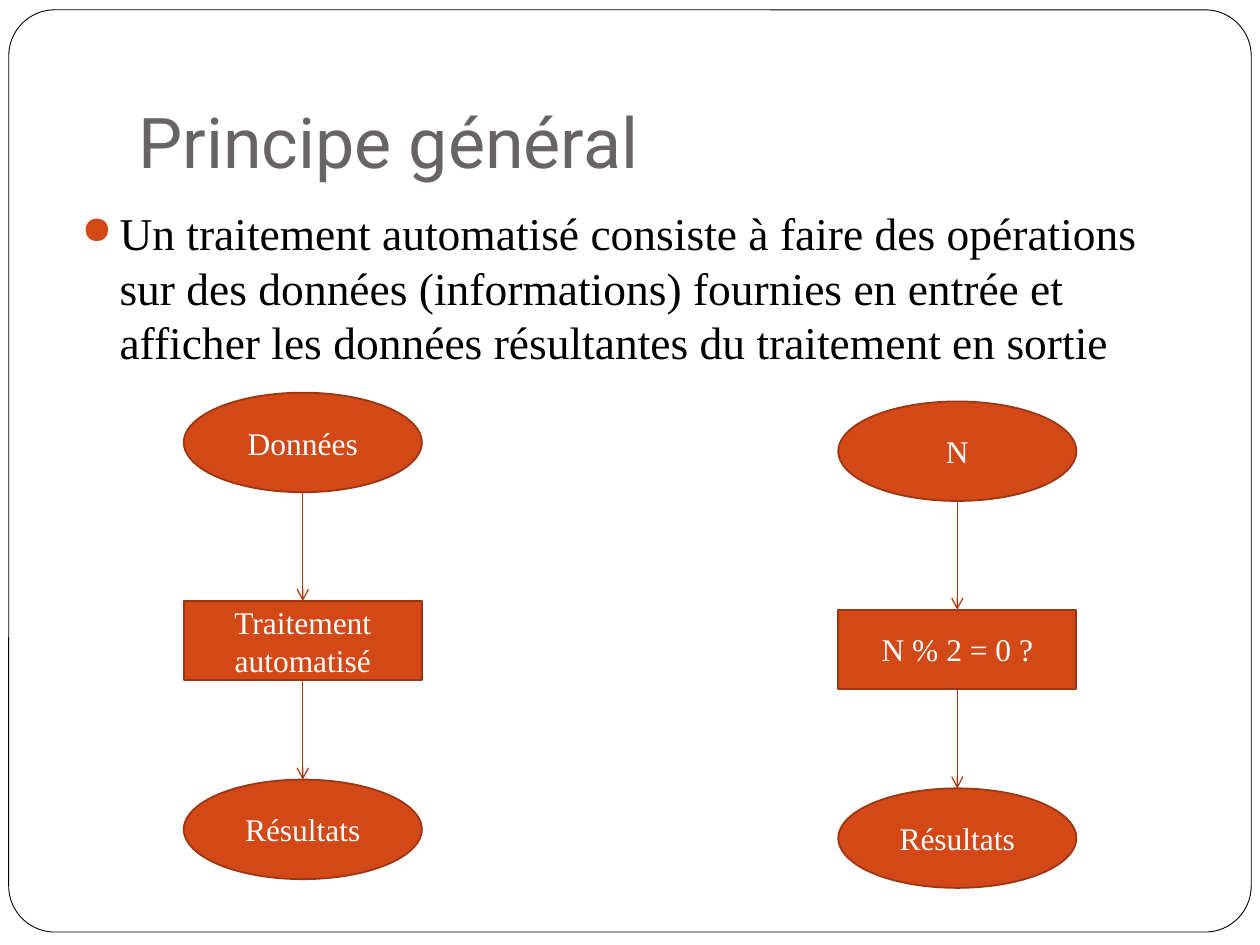
from dataclasses import dataclass

from lxml.etree import SubElement
from pptx import Presentation
from pptx.dml.color import RGBColor
from pptx.enum.shapes import MSO_CONNECTOR, MSO_SHAPE
from pptx.enum.text import MSO_ANCHOR, PP_ALIGN
from pptx.oxml.ns import qn
from pptx.util import Pt

# Content
TITLE = "Principe général"
BODY = (
    "Un traitement automatisé consiste à faire des opérations sur des données "
    "(informations) fournies en entrée et afficher les données résultantes "
    "du traitement en sortie"
)
# Each flow: left, top, then input, process and output labels
FLOWS = [
    (105, 224.4, ("Données", "Traitement automatisé", "Résultats")),
    (479, 229.4, ("N", "N % 2 = 0 ?", "Résultats")),
]
# Each step: shape, offset from the top of the flow, height
STEPS = [
    (MSO_SHAPE.OVAL, 0, 56.9),
    (MSO_SHAPE.RECTANGLE, 119, 45.4),
    (MSO_SHAPE.OVAL, 221.1, 56.9),
]
STEP_WIDTH = 136.1


@dataclass(frozen=True)
class Theme:
    accent: str = "D34817"
    outline: str = "9C3511"
    arrow: str = "B1360B"
    title: str = "696464"
    text: str = "000000"
    light: str = "FFFFFF"
    title_font: str = "Roboto"
    body_font: str = "Times New Roman"
    title_size: int = 40
    body_size: int = 26
    step_size: int = 18


THEME = Theme()


def color(value):
    return RGBColor.from_string(value)


def add_run(paragraph, text, font, size, value):
    run = paragraph.add_run()
    run.text = text
    run.font.name = font
    run.font.size = Pt(size)
    run.font.color.rgb = color(value)


def add_box(slide, kind, bounds, fill, line, width):
    shape = slide.shapes.add_shape(kind, *map(Pt, bounds))
    shape.shadow.inherit = False
    shape.fill.solid()
    shape.fill.fore_color.rgb = color(fill)
    shape.line.color.rgb = color(line)
    shape.line.width = Pt(width)
    return shape


def add_text_box(slide, bounds):
    frame = slide.shapes.add_textbox(*map(Pt, bounds)).text_frame
    frame.word_wrap = True
    return frame


def add_bullet(paragraph):
    properties = paragraph._p.get_or_add_pPr()
    properties.set("marL", str(Pt(21.6)))
    properties.set("indent", str(-Pt(21.6)))
    bullet_color = SubElement(properties, qn("a:buClr"))
    SubElement(bullet_color, qn("a:srgbClr"), val=THEME.accent)
    SubElement(properties, qn("a:buSzPct"), val="85000")
    SubElement(properties, qn("a:buChar"), char="●")


def add_step(slide, kind, bounds, label):
    shape = add_box(slide, kind, bounds, THEME.accent, THEME.outline, 1)
    frame = shape.text_frame
    frame.word_wrap = True
    frame.vertical_anchor = MSO_ANCHOR.MIDDLE
    paragraph = frame.paragraphs[0]
    paragraph.alignment = PP_ALIGN.CENTER
    add_run(paragraph, label, THEME.body_font, THEME.step_size, THEME.light)
    return shape


def add_arrow(slide, start, end):
    center = start.left + start.width // 2
    connector = slide.shapes.add_connector(
        MSO_CONNECTOR.STRAIGHT, center, start.top + start.height, center, end.top
    )
    # Site 2 is the bottom of a rectangle; an oval numbers its sites differently
    if start.auto_shape_type == MSO_SHAPE.RECTANGLE:
        connector.begin_connect(start, 2)
    connector.end_connect(end, 0)
    connector.line.color.rgb = color(THEME.arrow)
    connector.line.width = Pt(0.75)
    SubElement(connector.line._get_or_add_ln(), qn("a:tailEnd"), type="arrow")
    SubElement(connector._element.spPr, qn("a:effectLst"))


def add_flow(slide, left, top, labels):
    steps = [
        add_step(slide, kind, (left, top + offset, STEP_WIDTH, height), label)
        for (kind, offset, height), label in zip(STEPS, labels)
    ]
    for start, end in zip(steps, steps[1:]):
        add_arrow(slide, start, end)


def main():
    presentation = Presentation()
    presentation.slide_width, presentation.slide_height = Pt(720), Pt(540)
    slide = presentation.slides.add_slide(presentation.slide_layouts[6])

    # Rounded page frame
    frame = add_box(slide, MSO_SHAPE.ROUNDED_RECTANGLE, (5, 5.6, 710, 527),
                    THEME.light, THEME.text, 0.5)
    frame.adjustments[0] = 0.05

    # Title
    title = add_text_box(slide, (72, 21.6, 612, 90))
    title.vertical_anchor = MSO_ANCHOR.BOTTOM
    title.margin_bottom = Pt(7.2)
    add_run(title.paragraphs[0], TITLE, THEME.title_font, THEME.title_size, THEME.title)

    # Definition
    body = add_text_box(slide, (39.6, 113.8, 644.4, 409)).paragraphs[0]
    body.space_before = Pt(5.8)
    add_bullet(body)
    add_run(body, BODY, THEME.body_font, THEME.body_size, THEME.text)

    # General flow and its example
    for left, top, labels in FLOWS:
        add_flow(slide, left, top, labels)

    presentation.save("out.pptx")


if __name__ == "__main__":
    main()
